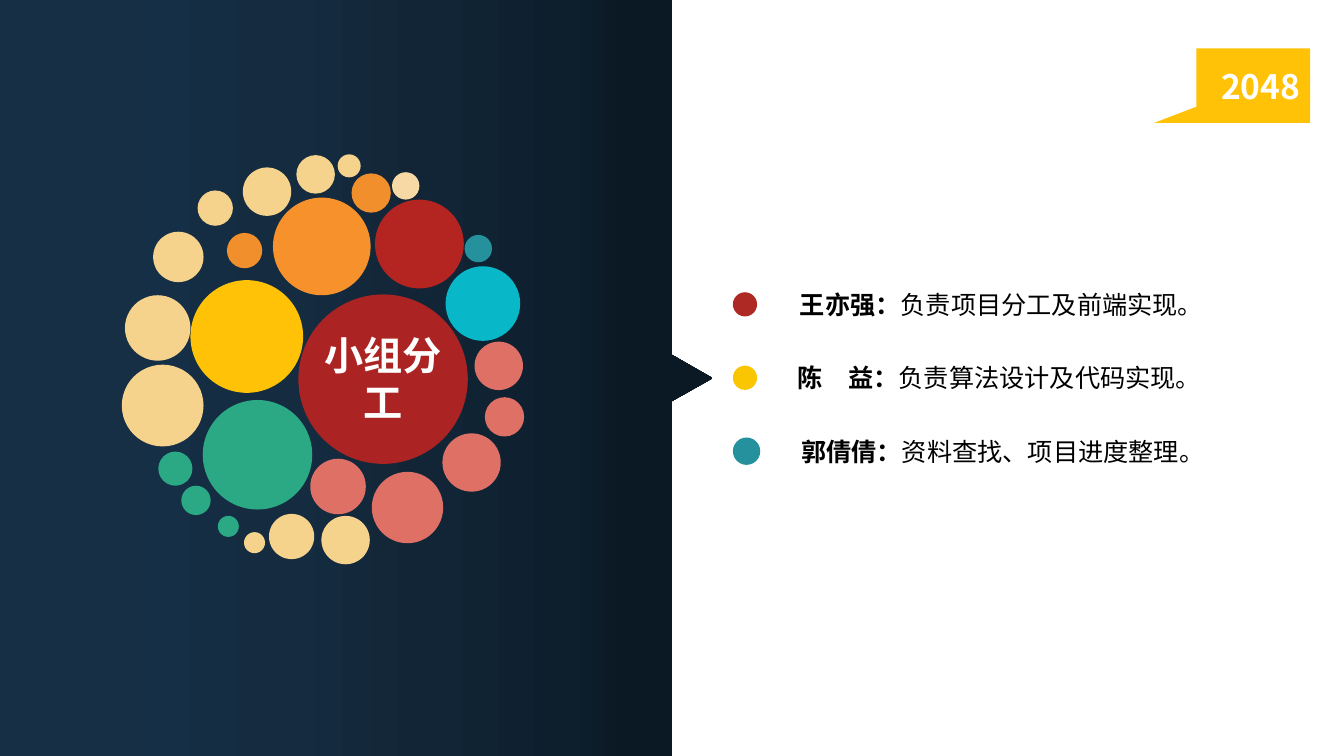
from lxml.etree import SubElement
from pptx import Presentation
from pptx.dml.color import RGBColor
from pptx.enum.shapes import MSO_SHAPE
from pptx.enum.text import MSO_ANCHOR, PP_ALIGN
from pptx.oxml import parse_xml
from pptx.oxml.ns import nsdecls, qn
from pptx.util import Cm, Pt

SLIDE_WIDTH, SLIDE_HEIGHT = 33.87, 19.05
WHITE, BLACK = "FFFFFF", "000000"
RED, YELLOW, TEAL = "AE2824", "FAC501", "25919D"

PANEL_OUTLINE = [(0, 0), (16.93, 0), (16.93, 8.94), (17.96, 9.53),
                 (16.93, 10.11), (16.93, SLIDE_HEIGHT), (0, SLIDE_HEIGHT)]
PANEL_STOPS = [(0, "162F45"), (20, "152F46"), (40, "152B40"),
               (60, "122536"), (80, "0D1F2D"), (88, "0B1924")]
FLAG_OUTLINE = [(33.02, 1.22), (30.15, 1.22), (30.15, 2.69),
                (29.08, 3.1), (33.02, 3.1)]

# Colour: (left, top, diameter) of each bubble in centimetres
BUBBLES = {
    "AC2323": [(7.52, 7.42, 4.27)],
    "2AA984": [(5.11, 10.08, 2.76), (5.49, 13, 0.53), (4.57, 12.24, 0.74),
               (3.99, 11.38, 0.86)],
    "FFC206": [(4.8, 7.06, 2.84)],
    "F6912C": [(6.88, 4.98, 2.46)],
    "B42420": [(9.45, 5.03, 2.24)],
    "08B7C8": [(11.23, 6.71, 1.88)],
    "DE7066": [(11.96, 8.61, 1.22), (12.22, 10.01, 0.99), (11.15, 10.92, 1.47),
               (9.37, 11.89, 1.8), (7.82, 11.56, 1.4)],
    "F5D38C": [(8.1, 13, 1.22), (6.78, 12.95, 1.14), (6.15, 13.41, 0.53),
               (3.07, 9.19, 2.06), (3.15, 7.44, 1.65), (3.86, 5.84, 1.27),
               (4.98, 4.8, 0.89), (6.12, 4.22, 1.22), (7.47, 3.91, 0.97),
               (8.51, 3.89, 0.58)],
    "F18F2C": [(5.72, 5.87, 0.89), (8.86, 4.37, 0.99)],
    "F7D9A5": [(9.88, 4.34, 0.69)],
    TEAL: [(11.71, 5.92, 0.69)],
}

# Dot colour, dot diameter, text left, name, duty
MEMBERS = [
    (RED, 0.61, 19.91, "王亦强：", "负责项目分工及前端实现。"),
    (YELLOW, 0.61, 19.86, "陈　益：", "负责算法设计及代码实现。"),
    (TEAL, 0.69, 19.94, "郭倩倩：", "资料查找、项目进度整理。"),
]
MEMBER_DOT_LEFT, MEMBER_CENTRE, MEMBER_STEP = 18.47, 7.67, 1.85
MEMBER_TEXT_WIDTH, MEMBER_TEXT_HEIGHT = 11.6, 1.02


def rgb(value):
    return RGBColor.from_string(value)


def write(para, text, size=18, color=BLACK, bold=False, font="Noto Sans CJK SC"):
    span = para.add_run()
    span.text = text
    span.font.size = Pt(size)
    span.font.bold = bold
    span.font.color.rgb = rgb(color)
    span.font.name = font
    SubElement(span.font._element, qn("a:ea"), typeface=font)


class Canvas:
    def __init__(self, page):
        self.page = page
        self.shapes = page.shapes

    def group(self):
        """Return a canvas that draws into a new group."""
        inner = Canvas(self.page)
        inner.shapes = self.shapes.add_group_shape().shapes
        return inner

    def finish(self, shape, color):
        shape.shadow.inherit = False
        shape.line.fill.background()
        shape.fill.solid()
        shape.fill.fore_color.rgb = rgb(color)
        return shape

    def circle(self, left, top, diameter, color):
        shape = self.shapes.add_shape(
            MSO_SHAPE.OVAL, Cm(left), Cm(top), Cm(diameter), Cm(diameter))
        return self.finish(shape, color)

    def outline(self, points, color):
        corners = [(Cm(x), Cm(y)) for x, y in points]
        builder = self.shapes.build_freeform(*corners[0])
        builder.add_line_segments(corners[1:], close=True)
        return self.finish(builder.convert_to_shape(), color)

    def gradient_outline(self, points, stops):
        """Draw an outline whose colours run from left to right."""
        shape = self.outline(points, stops[0][1])
        marks = "".join(
            f'<a:gs pos="{percent * 1000}"><a:srgbClr val="{color}"/></a:gs>'
            for percent, color in stops)
        gradient = parse_xml(
            f'<a:gradFill {nsdecls("a")}><a:gsLst>{marks}</a:gsLst>'
            '<a:lin ang="0" scaled="0"/></a:gradFill>')
        properties = shape._element.spPr
        properties.replace(properties.find(qn("a:solidFill")), gradient)

    def text(self, left, top, width, height, align=PP_ALIGN.LEFT):
        """Add a wrapping text box and return its first paragraph."""
        box = self.shapes.add_textbox(Cm(left), Cm(top), Cm(width), Cm(height))
        box.text_frame.word_wrap = True
        para = box.text_frame.paragraphs[0]
        para.alignment = align
        return para


def main():
    deck = Presentation()
    deck.slide_width, deck.slide_height = Cm(SLIDE_WIDTH), Cm(SLIDE_HEIGHT)
    canvas = Canvas(deck.slides.add_slide(deck.slide_layouts[6]))

    canvas.gradient_outline(PANEL_OUTLINE, PANEL_STOPS)
    for color, bubbles in BUBBLES.items():
        for left, top, diameter in bubbles:
            canvas.circle(left, top, diameter, color)

    flag = canvas.outline(FLAG_OUTLINE, "FFC206")
    flag.text_frame.vertical_anchor = MSO_ANCHOR.MIDDLE
    year = flag.text_frame.paragraphs[0]
    year.alignment = PP_ALIGN.RIGHT
    write(year, "2048", size=24, color=WHITE, bold=True)

    title = canvas.text(7.82, 8.23, 3.68, 2.64, PP_ALIGN.CENTER)
    write(title, "小组分工", size=28, color=WHITE, bold=True)

    for row, (color, diameter, left, name, duty) in enumerate(MEMBERS):
        centre = MEMBER_CENTRE + row * MEMBER_STEP
        member = canvas.group()
        member.circle(MEMBER_DOT_LEFT, centre - diameter / 2, diameter, color)
        para = member.text(left, centre - MEMBER_TEXT_HEIGHT / 2,
                           MEMBER_TEXT_WIDTH, MEMBER_TEXT_HEIGHT)
        write(para, name, bold=True)
        write(para, duty)

    deck.save("out.pptx")


if __name__ == "__main__":
    main()
